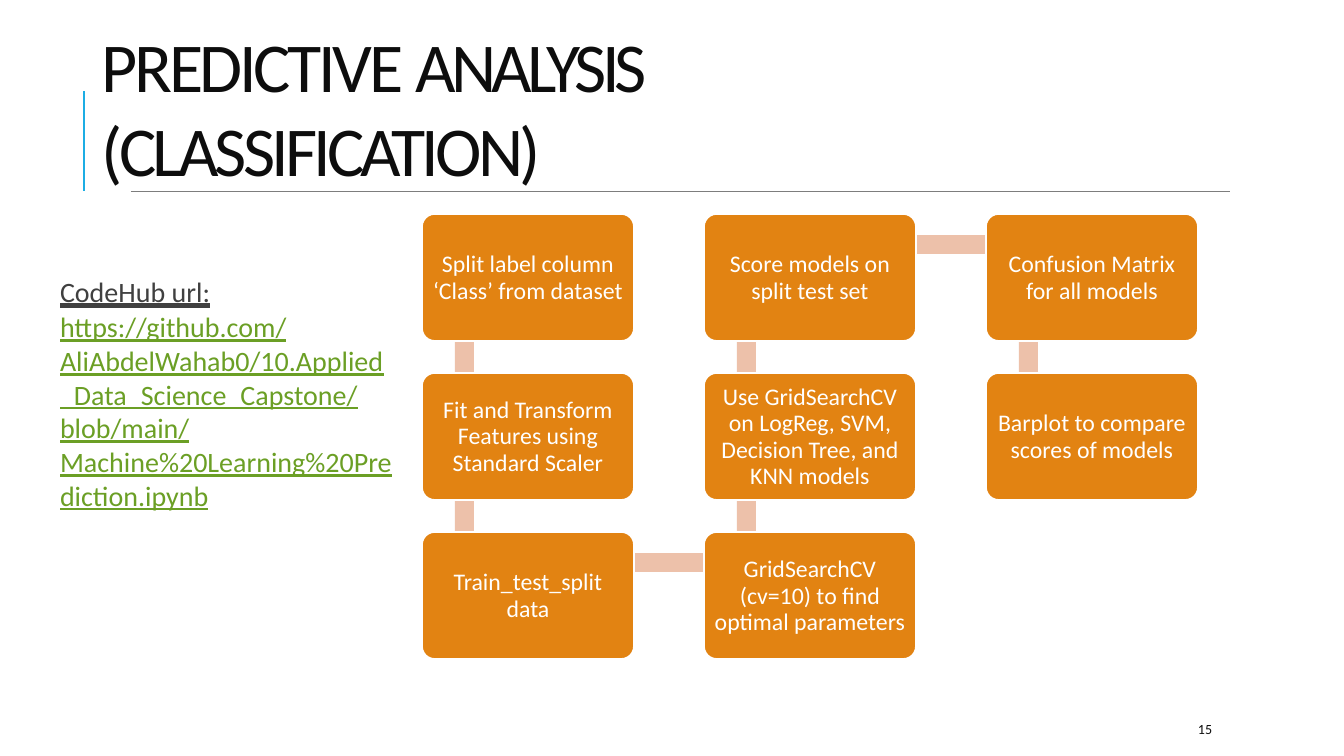
from dataclasses import dataclass

from lxml import etree
from pptx import Presentation
from pptx import util as u
from pptx.dml.color import RGBColor
from pptx.enum import shapes, text
from pptx.oxml.ns import qn

PX = 914400 / 100.8
FONT = "Calibri"
COLORS = {
    "ink": "0D0D0D", "label": "404040", "link": "6B9F25", "accent": "1CADE4",
    "rule": "7D7D7D", "card": "E28312", "bar": "EDC1AA", "white": "FFFFFF",
}
GRID_LEFT, GRID_TOP = 422, 214
COLUMN_STEP, ROW_STEP = 282, 159
CARD_WIDTH, CARD_HEIGHT = 212, 127
BAR_THICKNESS = 19


@dataclass(frozen=True)
class Step:
    column: int
    row: int
    caption: str

    @property
    def left(self) -> int:
        return GRID_LEFT + self.column * COLUMN_STEP

    @property
    def top(self) -> int:
        return GRID_TOP + self.row * ROW_STEP


@dataclass(frozen=True)
class Rule:
    start: tuple[int, int]
    end: tuple[int, int]
    color: str
    weight: float


STEPS = [
    Step(0, 0, "Split label column\v‘Class’ from dataset"),
    Step(0, 1, "Fit and Transform\vFeatures using\vStandard Scaler"),
    Step(0, 2, "Train_test_split\vdata"),
    Step(1, 2, "GridSearchCV\v(cv=10) to find\voptimal parameters"),
    Step(1, 1, "Use GridSearchCV\von LogReg, SVM,\vDecision Tree, and\vKNN models"),
    Step(1, 0, "Score models on\vsplit test set"),
    Step(2, 0, "Confusion Matrix\vfor all models"),
    Step(2, 1, "Barplot to compare\vscores of models"),
]
RULES = [
    Rule((84, 191), (84, 91), "accent", 1.5),
    Rule((131, 191), (1230, 191), "rule", 0.48),
]
TITLE = [("PREDICTIVE ", -250), ("ANALYSIS ", -350), ("(CLASSIFICATION)", -280)]
NOTEBOOK_URL = (
    "https://github.com/AliAbdelWahab0/10.Applied_Data_Science_Capstone"
    "/blob/main/Machine%20Learning%20Prediction.ipynb"
)


def px(length: int) -> u.Emu:
    return u.Emu(round(length * PX))


def rgb(name: str) -> RGBColor:
    return RGBColor.from_string(COLORS[name])


def style(font, size: float, color: str) -> None:
    font.name = FONT
    font.size = u.Pt(size)
    font.color.rgb = rgb(color)


def prepare(frame, anchor, side: int = 0) -> None:
    frame.word_wrap = True
    frame.auto_size = text.MSO_AUTO_SIZE.NONE
    frame.vertical_anchor = anchor
    frame.margin_left = frame.margin_right = px(side)
    frame.margin_top = frame.margin_bottom = 0


def draw_rule(slide, rule: Rule) -> None:
    line = slide.shapes.add_connector(
        shapes.MSO_CONNECTOR.STRAIGHT, *map(px, rule.start + rule.end))
    line.line.color.rgb = rgb(rule.color)
    line.line.width = u.Pt(rule.weight)
    etree.SubElement(line._element.spPr, qn("a:effectLst"))


def draw_block(slide, kind, box: tuple[int, int, int, int], fill: str):
    block = slide.shapes.add_shape(kind, *map(px, box))
    block.shadow.inherit = False
    block.fill.solid()
    block.fill.fore_color.rgb = rgb(fill)
    block.line.fill.background()
    return block


def draw_bar(slide, step: Step, following: Step) -> None:
    left, top = min(step.left, following.left), min(step.top, following.top)
    if step.row == following.row:
        box = (left + 43, top + 21, COLUMN_STEP, BAR_THICKNESS)
    else:
        box = (left + 33, top + 32, BAR_THICKNESS, ROW_STEP)
    draw_block(slide, shapes.MSO_SHAPE.RECTANGLE, box, "bar")


def draw_card(slide, step: Step) -> None:
    card = draw_block(slide, shapes.MSO_SHAPE.ROUNDED_RECTANGLE,
                      (step.left, step.top, CARD_WIDTH, CARD_HEIGHT), "card")
    card.adjustments[0] = 0.1
    card.line.color.rgb = rgb("white")
    card.line.width = u.Pt(1.2)
    prepare(card.text_frame, text.MSO_ANCHOR.MIDDLE)
    caption = card.text_frame.paragraphs[0]
    caption.text = step.caption
    caption.alignment = text.PP_ALIGN.CENTER
    caption.line_spacing = u.Pt(19)
    style(caption.font, 17, "white")


def add_title(slide) -> None:
    title = slide.shapes.title
    title.left, title.top, title.width, title.height = map(px, (101, 21, 873, 171))
    prepare(title.text_frame, text.MSO_ANCHOR.MIDDLE, 1)
    heading = title.text_frame.paragraphs[0]
    heading.alignment = text.PP_ALIGN.LEFT
    style(heading.font, 50, "ink")
    for words, tracking in TITLE:
        run = heading.add_run()
        run.text = words
        run.font._element.set("spc", str(tracking))


def add_source(slide) -> None:
    source = slide.shapes.add_textbox(*map(px, (59, 275, 338, 240))).text_frame
    prepare(source, text.MSO_ANCHOR.TOP, 1)
    label = source.paragraphs[0]
    label.text = "CodeHub url:"
    style(label.font, 20, "label")
    label.font.underline = text.MSO_UNDERLINE.HEAVY_LINE
    link = source.add_paragraph()
    link.text = NOTEBOOK_URL
    link.space_before = u.Pt(1)
    style(link.font, 20, "link")
    link.font.underline = True


def add_page_number(slide) -> None:
    footer = slide.shapes.add_textbox(*map(px, (1194, 714, 107, 30))).text_frame
    prepare(footer, text.MSO_ANCHOR.MIDDLE, 4)
    number = footer.paragraphs[0]
    number.text = "15"
    style(number.font, 10, "ink")


def main() -> None:
    deck = Presentation()
    deck.slide_width, deck.slide_height = px(1344), px(756)
    slide = deck.slides.add_slide(deck.slide_layouts[5])
    for rule in RULES:
        draw_rule(slide, rule)
    add_title(slide)
    add_page_number(slide)
    add_source(slide)
    for step, following in zip(STEPS, STEPS[1:]):
        draw_bar(slide, step, following)
    for step in STEPS:
        draw_card(slide, step)
    deck.save("out.pptx")


if __name__ == "__main__":
    main()
